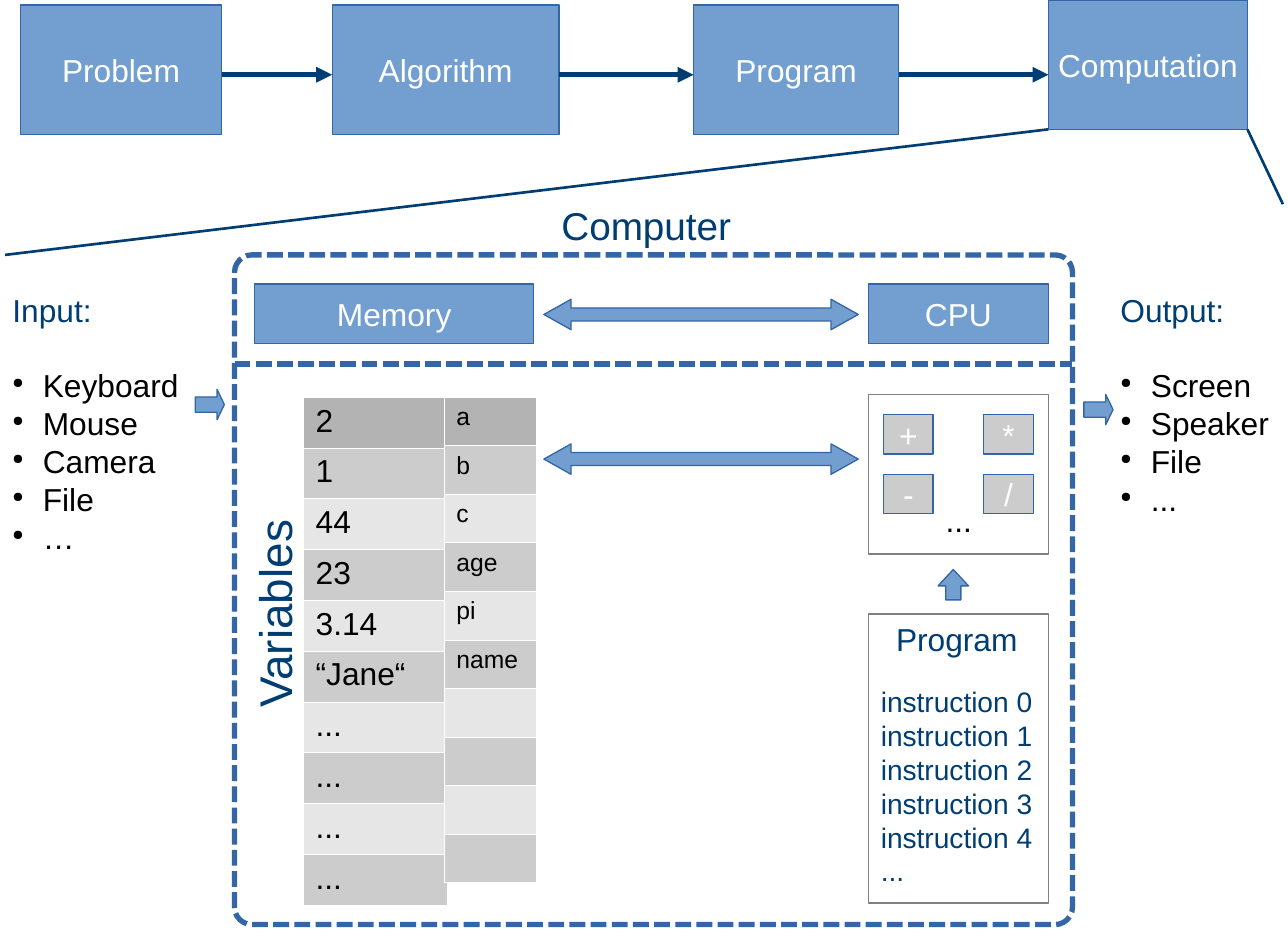
import pptx
import pptx.util
import pptx.dml.color
import pptx.enum.dml
import pptx.enum.shapes
import pptx.enum.text
import pptx.oxml.ns
from lxml import etree

Inches = pptx.util.Inches
Pt = pptx.util.Pt
SHAPE = pptx.enum.shapes.MSO_SHAPE
ALIGN = pptx.enum.text.PP_ALIGN
ANCHOR = pptx.enum.text.MSO_ANCHOR

NAVY, BLUE, EDGE = "003D73", "729FCF", "3465A4"
BLACK, WHITE, GREY = "000000", "FFFFFF", "808080"
HEAD, DARK, LIGHT = "B3B3B3", "CCCCCC", "E6E6E6"

# Boxes and arrows: left, top, width, height
STEPS = [
    ("Problem", (0.16, 0.04, 1.59, 1.02)),
    ("Algorithm", (2.62, 0.04, 1.79, 1.02)),
    ("Program", (5.47, 0.04, 1.62, 1.02)),
    ("Computation", (8.27, 0, 1.57, 1.02)),
]
PARTS = [("Memory", (2.01, 2.24, 2.2, 0.47)), ("CPU", (6.85, 2.24, 1.42, 0.47))]
OPERATORS = [["+", "*"], ["-", "/"]]
FRAME = (1.85, 2.01, 6.61, 5.28)
PANELS = [(6.85, 3.11, 1.42, 1.26), (6.85, 4.84, 1.42, 2.28)]
ARROWS = [
    (SHAPE.LEFT_RIGHT_ARROW, (4.29, 2.36, 2.48, 0.24), (0.426, 0.894)),
    (SHAPE.LEFT_RIGHT_ARROW, (4.29, 3.5, 2.48, 0.24), (0.426, 0.894)),
    (SHAPE.RIGHT_ARROW, (1.54, 3.07, 0.23, 0.24), (0.5, 0.25)),
    (SHAPE.RIGHT_ARROW, (8.55, 3.11, 0.23, 0.24), (0.5, 0.25)),
    (SHAPE.UP_ARROW, (7.4, 4.49, 0.24, 0.24), (0.5, 0.54)),
]
LISTS = [
    ((0, 2.24, 1.5, 2.06), "Input:", ["Keyboard", "Mouse", "Camera", "File", "…"]),
    ((8.74, 2.24, 1.36, 1.78), "Output:", ["Screen", "Speaker", "File", "..."]),
]
INSTRUCTIONS = [f"instruction {number}" for number in range(5)] + ["..."]
VALUES = ["2", "1", "44", "23", "3.14", "“Jane“", "...", "...", "...", "..."]
NAMES = ["a", "b", "c", "age", "pi", "name", "", "", "", ""]


def rgb(value):
    return pptx.dml.color.RGBColor.from_string(value)


def place(area):
    return [Inches(length) for length in area]


def add_xml(parent, tag, **values):
    child = etree.SubElement(parent, pptx.oxml.ns.qn(tag))
    for name, value in values.items():
        child.set(name, str(value))
    return child


def write(para, words, size, color):
    span = para.add_run()
    span.text = words
    for name, value in {"name": "Arial", "size": Pt(size)}.items():
        setattr(span.font, name, value)
    span.font.color.rgb = rgb(color)


def add_box(page, area, kind=SHAPE.RECTANGLE, fill=BLUE, line=EDGE, width=0,
            label="", adjust=()):
    box = page.shapes.add_shape(kind, *place(area))
    box.shadow.inherit = False
    if fill:
        box.fill.solid()
        box.fill.fore_color.rgb = rgb(fill)
    else:
        box.fill.background()
    box.line.color.rgb = rgb(line)
    box.line.width = Pt(width)
    for index, value in enumerate(adjust):
        box.adjustments[index] = value
    if label:
        frame = box.text_frame
        frame.word_wrap = False
        frame.vertical_anchor = ANCHOR.MIDDLE
        frame.paragraphs[0].alignment = ALIGN.CENTER
        write(frame.paragraphs[0], label, 18, WHITE)
    return box


def add_text(page, area, lines, size=18, color=NAVY, wrap=False, align=ALIGN.LEFT):
    box = page.shapes.add_textbox(*place(area))
    frame = box.text_frame
    frame.word_wrap = wrap
    for index, words in enumerate(lines):
        para = frame.add_paragraph() if index else frame.paragraphs[0]
        para.alignment = align
        write(para, words, size, color)
    return box


def add_list(page, area, title, items):
    frame = add_text(page, area, [title], wrap=True).text_frame
    frame.margin_right = 0
    for index, words in enumerate(items):
        para = frame.add_paragraph()
        if index == 0:
            para.space_before = Pt(21)
        props = para._p.get_or_add_pPr()
        props.set("marL", str(Inches(0.24)))
        props.set("indent", str(-Inches(0.24)))
        add_xml(add_xml(props, "a:buClr"), "a:srgbClr", val=BLACK)
        add_xml(props, "a:buSzPct", val=45000)
        add_xml(props, "a:buChar", char="●")
        write(para, words, 18, BLACK)


def add_line(page, start, end, color=NAVY, width=1.5):
    line = page.shapes.add_connector(
        pptx.enum.shapes.MSO_CONNECTOR.STRAIGHT, *place(start + end))
    line.line.color.rgb = rgb(color)
    line.line.width = Pt(width)
    add_xml(line._element.spPr, "a:effectLst")
    return line


def add_column(page, area, words, size):
    """Add a one-column table with a dark head row and alternating greys."""
    table = page.shapes.add_table(len(words), 1, *place(area)).table
    for index, text in enumerate(words):
        table.rows[index].height = Inches(area[3] / len(words))
        cell = table.cell(index, 0)
        para = cell.text_frame.paragraphs[0]
        if text:
            write(para, text, size, BLACK)
        else:
            add_xml(para._p, "a:endParaRPr", sz=size * 100)
        props = cell._tc.get_or_add_tcPr()
        for side in ("a:lnL", "a:lnR", "a:lnT", "a:lnB"):
            border = add_xml(props, side, w=Pt(0.06))
            add_xml(add_xml(border, "a:solidFill"), "a:srgbClr", val=WHITE)
        cell.fill.solid()
        shade = DARK if index % 2 else LIGHT
        cell.fill.fore_color.rgb = rgb(shade if index else HEAD)


def main():
    deck = pptx.Presentation()
    deck.slide_width, deck.slide_height = Inches(10.16), Inches(7.38)
    page = deck.slides.add_slide(deck.slide_layouts[6])
    dash = pptx.enum.dml.MSO_LINE.SQUARE_DOT

    for label, area in STEPS + PARTS:
        add_box(page, area, label=label)
    for (_, before), (_, after) in zip(STEPS, STEPS[1:]):
        arrow = add_line(page, (before[0] + before[2], 0.59), (after[0], 0.59), width=3)
        add_xml(arrow.line._get_or_add_ln(), "a:tailEnd", type="triangle")
    left, top, width, height = STEPS[-1][1]
    add_line(page, (left, top + height), (0.04, 2.01))
    add_line(page, (left + width, top + height), (10.12, 1.61))

    frame = add_box(page, FRAME, SHAPE.ROUNDED_RECTANGLE, None, width=3, adjust=[0.026])
    divider = add_line(page, (FRAME[0], 2.87), (FRAME[0] + FRAME[2], 2.87), EDGE, 3)
    for outline in (frame, divider):
        outline.line.dash_style = dash
    for area in PANELS:
        add_box(page, area, fill=None, line=GREY)
    for row, labels in enumerate(OPERATORS):
        for column, label in enumerate(labels):
            area = (6.97 + 0.79 * column, 3.27 + 0.47 * row, 0.39, 0.31)
            add_box(page, area, fill=DARK, label=label)
    for kind, area, adjust in ARROWS:
        add_box(page, area, kind, adjust=adjust)

    for area, title, items in LISTS:
        add_list(page, area, title, items)
    add_text(page, (4.33, 1.54, 1.61, 0.44), ["Computer"], 22, wrap=True)
    add_text(page, (7.36, 3.9, 0.41, 0.38), ["..."], color=BLACK)
    add_text(page, (6.97, 4.84, 1.16, 0.38), ["Program"])
    add_text(page, (6.85, 5.35, 1.4, 1.58), INSTRUCTIONS, 16)
    variables = add_text(page, (1.24, 4.59, 1.81, 0.5), ["Variables"], 26,
                         wrap=True, align=ALIGN.CENTER)
    variables.rotation = 270
    add_column(page, (2.39, 3.13, 1.14, 3.85), VALUES, 18)
    add_column(page, (3.5, 3.13, 0.73, 3.83), NAMES, 14)
    deck.save("out.pptx")


if __name__ == "__main__":
    main()
